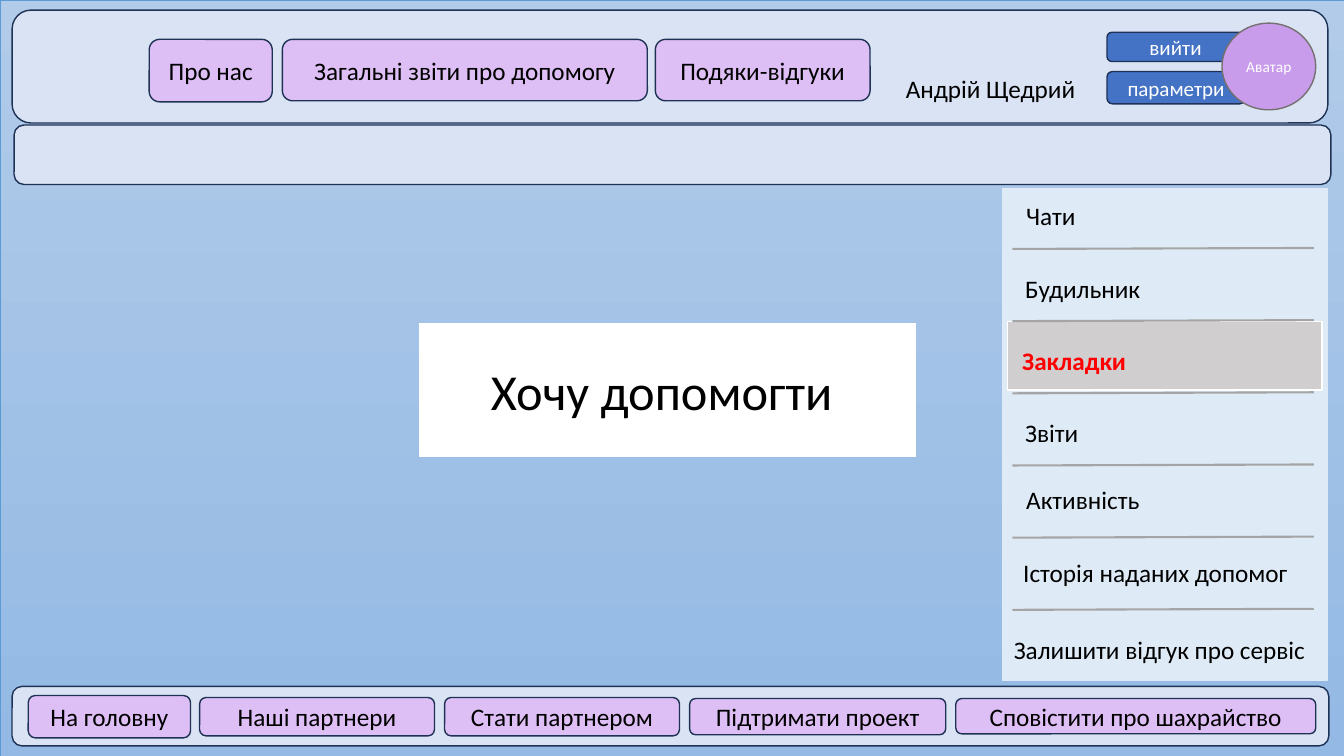
from pptx import Presentation
from pptx.dml.color import RGBColor
from pptx.enum.shapes import MSO_CONNECTOR, MSO_SHAPE
from pptx.enum.text import MSO_ANCHOR, MSO_AUTO_SIZE, PP_ALIGN
from pptx.oxml.ns import qn
from pptx.util import Inches, Pt

NAVY, PANEL, LILAC, BLUE = "1E3256", "DAE3F3", "DEBFF5", "4472C4"
BLACK, WHITE, RED = "000000", "FFFFFF", "FF0000"
FONT = "Calibri"

PANELS = [
    (0.12, 6.81, 13.06, 0.59),
    (0.12, 0.1, 13.05, 1.12),
    (0.14, 1.24, 13.06, 0.59),
]
ACCOUNT_BUTTONS = [
    ("параметри", (10.98, 0.71, 1.37, 0.32)),
    ("вийти", (10.98, 0.32, 1.36, 0.29)),
]
USER = ("Андрій Щедрий", (8.87, 0.71, 3.51, 0.33))
AVATAR = ("Аватар", (12.12, 0.23, 0.93, 0.86))
NAV_BUTTONS = [
    ("Про нас", (1.48, 0.39, 1.22, 0.62)),
    ("Загальні звіти про допомогу", (2.8, 0.39, 3.62, 0.61)),
    ("Подяки-відгуки", (6.5, 0.39, 2.13, 0.61)),
    ("На головну", (0.28, 6.9, 1.61, 0.42)),
    ("Наші партнери", (1.98, 6.92, 2.33, 0.38)),
    ("Стати партнером", (4.41, 6.92, 2.33, 0.38)),
    ("Підтримати проект", (6.84, 6.93, 2.54, 0.36)),
    ("Сповістити про шахрайство", (9.48, 6.93, 3.57, 0.35)),
]
SIDEBAR = (9.94, 1.87, 3.22, 4.88)
HIGHLIGHT = (9.99, 3.19, 3.12, 0.68)
TITLE = ("Хочу допомогти ", (4.16, 3.21, 4.92, 1.32))
MENU = [
    ("Чати", (10.08, 1.94, 2.4, 0.4), {}),
    ("Будильник", (10.07, 2.66, 2.4, 0.4), {}),
    ("Закладки", (10.04, 3.38, 2.4, 0.4), {"color": RED, "bold": True}),
    ("Звіти", (10.07, 4.09, 2.4, 0.4), {}),
    ("Активність", (10.08, 4.76, 2.83, 0.4), {}),
    ("Історія наданих допомог", (10.05, 5.48, 3.05, 0.4), {}),
    ("Залишити відгук про сервіс", (9.95, 6.24, 3.1, 0.4), {"align": PP_ALIGN.CENTER}),
]
RULE_LEFT, RULE_RIGHT, RULE_TOP, RULE_STEP, RULE_DROP = 10.04, 13.03, 2.47, 0.716, 0.01


def rgb(value):
    return RGBColor.from_string(value)


def write(sp, text, size=18, color=BLACK, bold=False, align=PP_ALIGN.LEFT):
    p = sp.text_frame.paragraphs[0]
    p.alignment = align
    r = p.add_run()
    r.text = text
    for name, value in {"size": Pt(size), "name": FONT, "bold": bold}.items():
        setattr(r.font, name, value)
    r.font.color.rgb = rgb(color)


def add_box(s, box, fill=None, line=None, kind=MSO_SHAPE.ROUNDED_RECTANGLE, text=None, **fmt):
    sp = s.shapes.add_shape(kind, *map(Inches, box))
    sp.shadow.inherit = False
    for part, color in ((sp.fill, fill), (sp.line.fill, line)):
        if color:
            part.solid()
            part.fore_color.rgb = rgb(color)
        else:
            part.background()
    if line:
        sp.line.width = Pt(1)
    if text:
        sp.text_frame.vertical_anchor = MSO_ANCHOR.MIDDLE
        write(sp, text, **{"align": PP_ALIGN.CENTER, **fmt})
    return sp


def add_label(s, text, box, fmt):
    sp = s.shapes.add_textbox(*map(Inches, box))
    sp.text_frame.word_wrap = True
    sp.text_frame.auto_size = MSO_AUTO_SIZE.SHAPE_TO_FIT_TEXT
    write(sp, text, **fmt)


def add_rule(s, y):
    ends = (RULE_LEFT, y, RULE_RIGHT, y - RULE_DROP)
    c = s.shapes.add_connector(MSO_CONNECTOR.STRAIGHT, *map(Inches, ends))
    c.line.color.rgb = rgb("A5A5A5")
    c.line.width = Pt(1.5)
    sp_pr = c._element.spPr
    sp_pr.append(sp_pr.makeelement(qn("a:effectLst"), {}))


def add_backdrop(s):
    s.background.fill.solid()
    s.background.fill.fore_color.rgb = rgb("FCF7EB")
    sp = add_box(s, (0, 0, 13.39, 7.5), line="5B9BD5", kind=MSO_SHAPE.RECTANGLE)
    sp.line.width = Pt(0.5)
    sp.fill.gradient()
    sp.fill.gradient_angle = 270
    for stop, position, color in zip(sp.fill.gradient_stops, (0, 1), ("B1CBE9", "93B9E4")):
        stop.position = position
        stop.color.rgb = rgb(color)


def main():
    prs = Presentation()
    prs.slide_width, prs.slide_height = Inches(13.33), Inches(7.5)
    s = prs.slides.add_slide(prs.slide_layouts[6])

    add_backdrop(s)
    for box in PANELS:
        add_box(s, box, PANEL, NAVY)
    for text, box in ACCOUNT_BUTTONS:
        add_box(s, box, BLUE, NAVY, text=text, size=15, color=WHITE)
    add_box(s, USER[1], text=USER[0], align=PP_ALIGN.LEFT)
    add_box(s, AVATAR[1], "C99BEB", "767171", MSO_SHAPE.FLOWCHART_CONNECTOR,
            AVATAR[0], size=11, color=WHITE)
    for text, box in NAV_BUTTONS:
        add_box(s, box, LILAC, NAVY, text=text)

    add_box(s, SIDEBAR, "DEEBF7", "DEEBF7", MSO_SHAPE.RECTANGLE)
    add_box(s, TITLE[1], WHITE, WHITE, MSO_SHAPE.RECTANGLE, TITLE[0], size=36)
    add_box(s, HIGHLIGHT, "D0CECE", WHITE, MSO_SHAPE.RECTANGLE)
    for i in range(len(MENU) - 1):
        add_rule(s, RULE_TOP + i * RULE_STEP)
    for text, box, fmt in MENU:
        add_label(s, text, box, fmt)

    prs.save("out.pptx")


if __name__ == "__main__":
    main()
